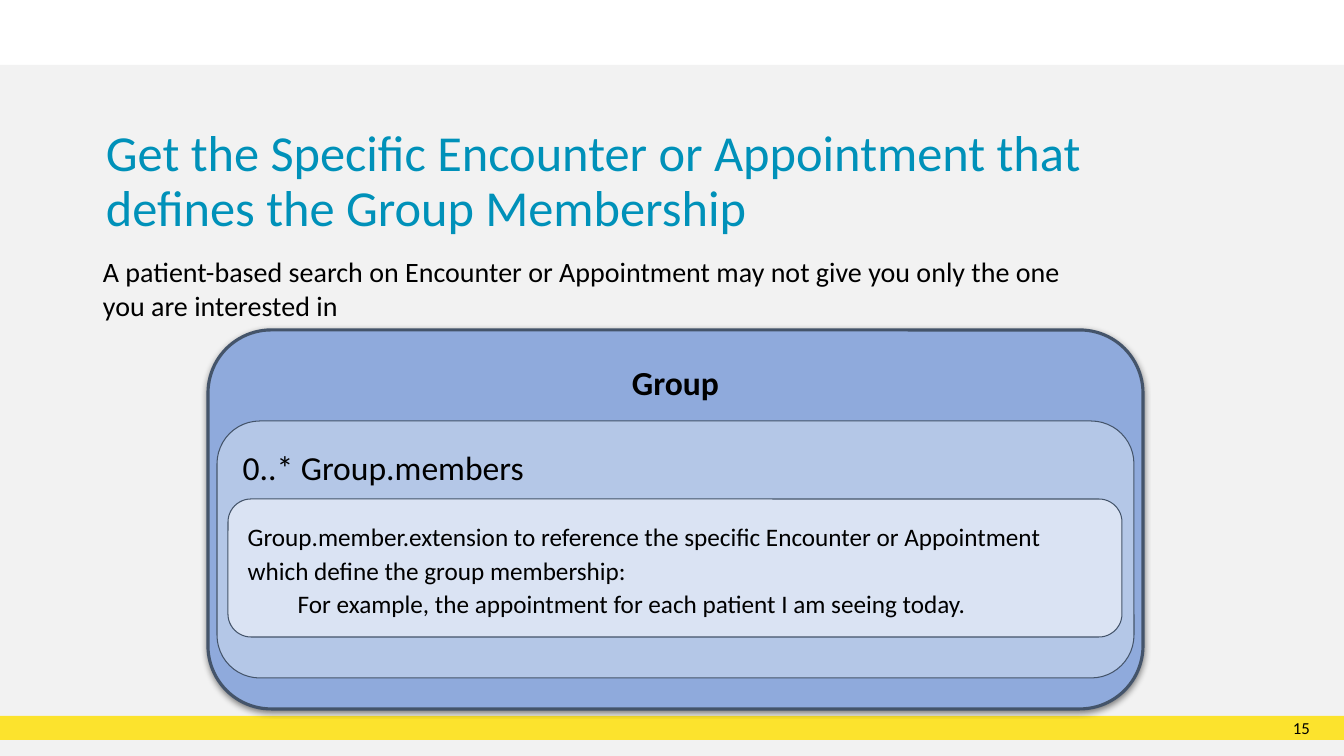
from lxml import etree
from pptx import Presentation
from pptx.dml.color import RGBColor
from pptx.enum.shapes import MSO_SHAPE
from pptx.enum.text import MSO_ANCHOR, MSO_AUTO_SIZE, PP_ALIGN
from pptx.oxml.ns import qn
from pptx.util import Emu, Pt

RECT, ROUNDED = MSO_SHAPE.RECTANGLE, MSO_SHAPE.ROUNDED_RECTANGLE
TOP, MIDDLE = MSO_ANCHOR.TOP, MSO_ANCHOR.MIDDLE
LEFT, CENTER, RIGHT = PP_ALIGN.LEFT, PP_ALIGN.CENTER, PP_ALIGN.RIGHT
NO_AUTOFIT = MSO_AUTO_SIZE.NONE

BLACK = RGBColor(0x00, 0x00, 0x00)
PALE_GRAY = RGBColor(0xF2, 0xF2, 0xF2)
YELLOW = RGBColor(0xFC, 0xE3, 0x2D)
TEAL = RGBColor(0x00, 0x91, 0xB9)
SLATE = RGBColor(0x44, 0x54, 0x6A)
GROUP_BLUE = RGBColor(0x8F, 0xAA, 0xDC)
MEMBERS_BLUE = RGBColor(0xB4, 0xC7, 0xE7)
EXTENSION_BLUE = RGBColor(0xDA, 0xE3, 0xF3)

FONT = "Calibri"
SLIDE_W, SLIDE_H = 1344, 756
PAD = 13
LEVEL_INDENT = 50


def px(length):
    return Emu(round(length * 914400 / 100.8))


def place(*lengths):
    return [px(length) for length in lengths]


def write(shape, *texts, size, color=BLACK, bold=False, align=LEFT, anchor=TOP,
          spacing=None, insets=(PAD, PAD)):
    """Write one paragraph per text, each after the first one level deeper."""
    frame = shape.text_frame
    frame.word_wrap = True
    frame.auto_size = NO_AUTOFIT
    frame.vertical_anchor = anchor
    frame.margin_left = frame.margin_right = px(insets[0])
    frame.margin_top = frame.margin_bottom = px(insets[1])
    for level, text in enumerate(texts):
        paragraph = frame.add_paragraph() if level else frame.paragraphs[0]
        if level:
            paragraph.level = level
            properties = paragraph._p.get_or_add_pPr()
            properties.set("marL", str(px(LEVEL_INDENT * level)))
            properties.set("indent", "0")
        paragraph.alignment = align
        paragraph.line_spacing = spacing
        run = paragraph.add_run()
        run.text = text
        run.font.name = FONT
        run.font.size = Pt(size)
        run.font.bold = bold
        run.font.color.rgb = color


def add_band(slide, top, height, color):
    band = slide.shapes.add_shape(RECT, *place(0, top, SLIDE_W, height))
    band.shadow.inherit = False
    band.fill.solid()
    band.fill.fore_color.rgb = color
    band.line.fill.background()


def add_panel(slide, box, color, line_width):
    panel = slide.shapes.add_shape(ROUNDED, *place(*box))
    panel.shadow.inherit = False
    panel.fill.solid()
    panel.fill.fore_color.rgb = color
    panel.line.color.rgb = SLATE
    panel.line.width = Pt(line_width)
    return panel


def add_drop_shadow(shape):
    effects = shape.element.spPr.find(qn("a:effectLst"))
    drop = etree.SubElement(effects, qn("a:outerShdw"), blurRad=str(Pt(4.5)),
                            dist=str(Pt(1.5)), dir="5400000", rotWithShape="0")
    tone = etree.SubElement(drop, qn("a:srgbClr"), val=str(BLACK))
    etree.SubElement(tone, qn("a:alpha"), val="50000")


def add_label(slide, box, text, **style):
    label = slide.shapes.add_textbox(*place(*box))
    write(label, text, **style)


def main():
    deck = Presentation()
    deck.slide_width, deck.slide_height = place(SLIDE_W, SLIDE_H)
    slide = deck.slides.add_slide(deck.slide_layouts[5])
    title = slide.shapes.title

    # Background bands and page number
    add_band(slide, 65, 691, PALE_GRAY)
    add_band(slide, 716, 24, YELLOW)
    add_label(slide, (1269, 716, 41, 23), "15", size=12, align=RIGHT,
              anchor=MIDDLE, insets=(0, 0))

    # Title, brought in front of the bands
    slide.shapes.element.append(title.element)
    title.left, title.top, title.width, title.height = place(93, 115, 1155, 98)
    write(title, "Get the Specific Encounter or Appointment that defines the "
          "Group Membership", size=36, color=TEAL, spacing=0.9)

    # Nested panels: group, its members, their extension
    group = add_panel(slide, (208, 330, 935, 379), GROUP_BLUE, 2.25)
    add_drop_shadow(group)
    write(group, "Group", size=24, bold=True, align=CENTER)

    members = add_panel(slide, (217, 421, 917, 257), MEMBERS_BLUE, 0.75)
    write(members, "0..* Group.members", size=24)

    extension = add_panel(slide, (228, 499, 894, 138), EXTENSION_BLUE, 0.75)
    write(extension,
          "Group.member.extension to reference the specific Encounter or "
          "Appointment which define the group membership:",
          "For example, the appointment for each patient I am seeing today.",
          size=18, spacing=1.1)

    # Introductory sentence
    add_label(slide, (93, 250, 993, 112),
              "A patient-based search on Encounter or Appointment may not give "
              "you only the one you are interested in", size=20, insets=(10, 5))

    deck.save("out.pptx")


if __name__ == "__main__":
    main()
